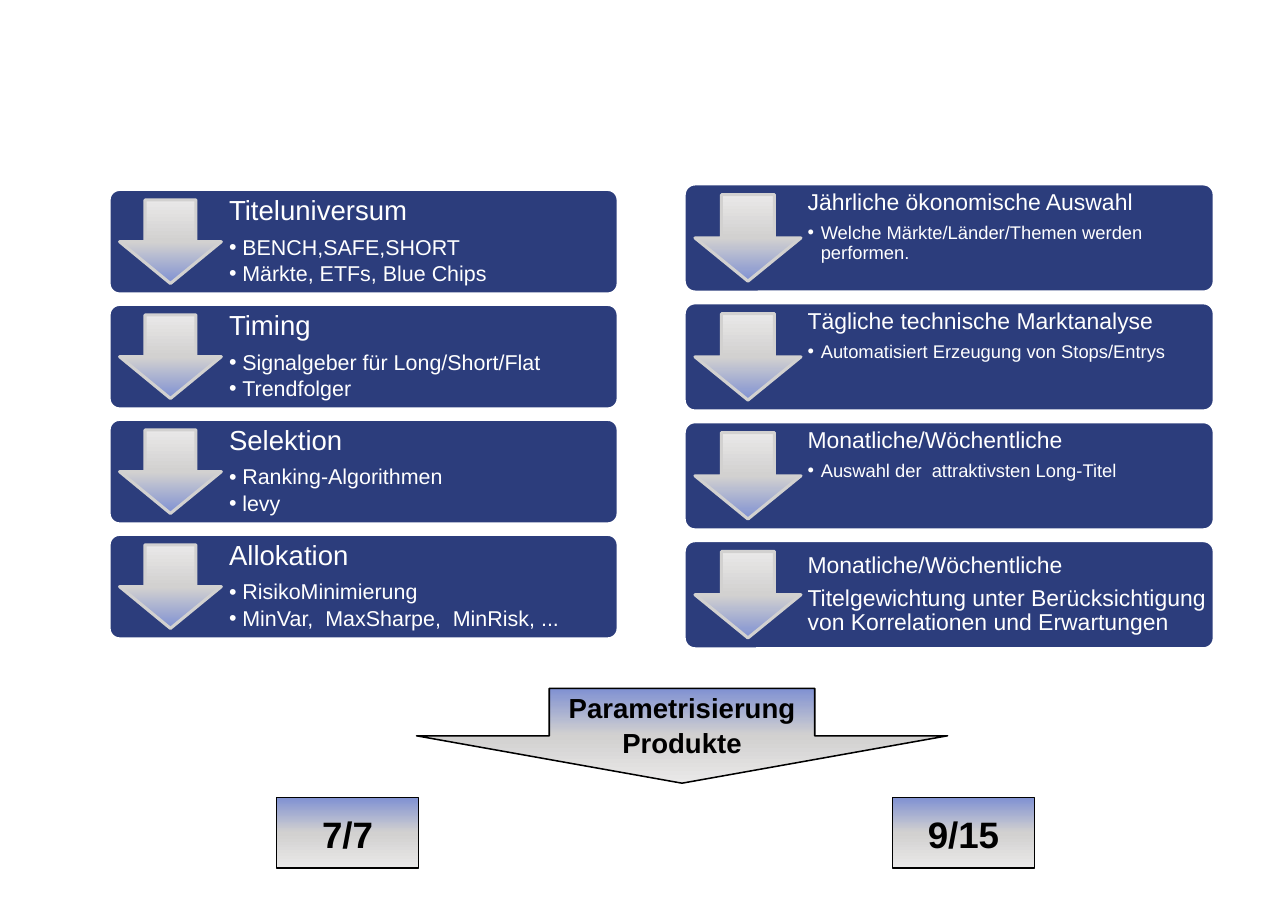
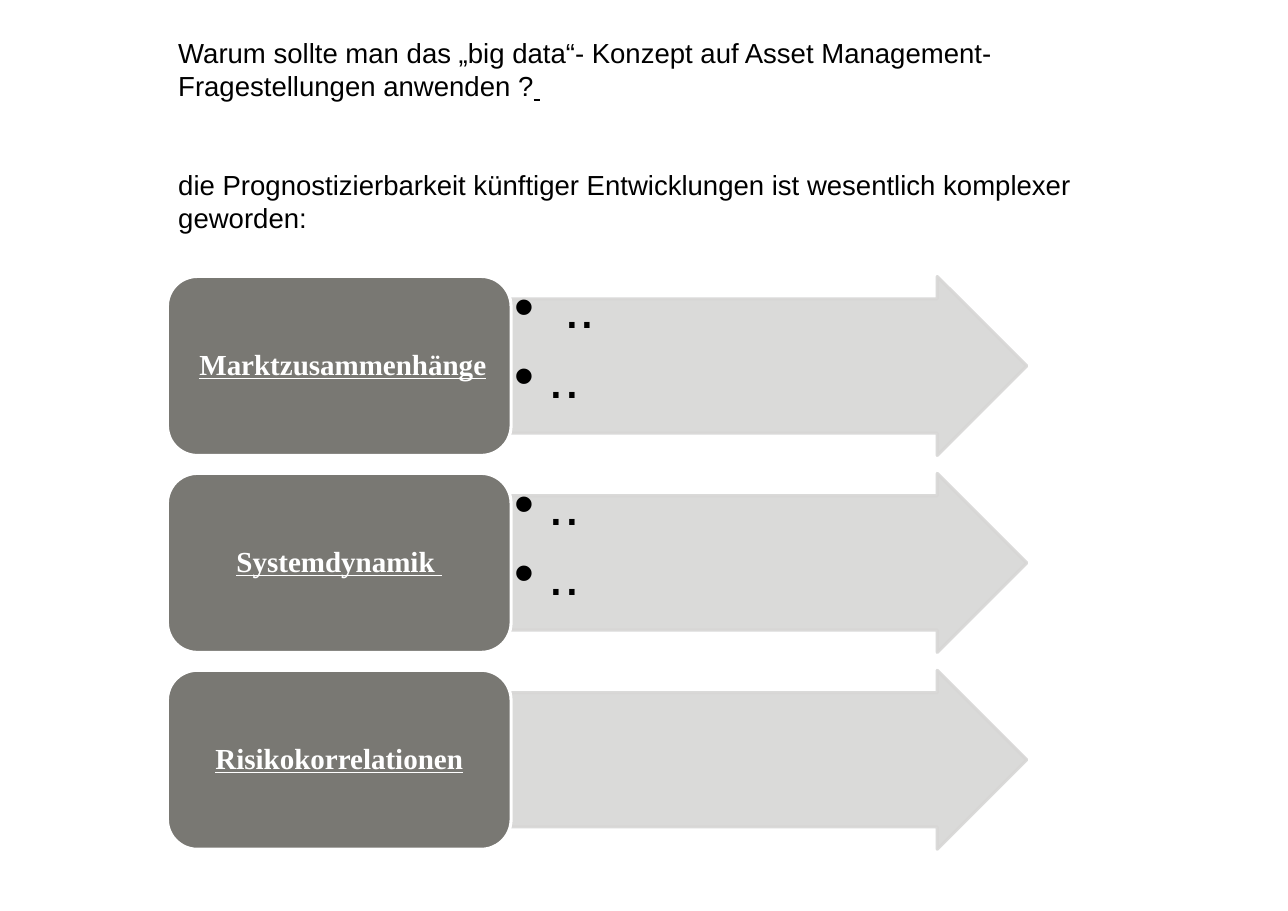
from copy import deepcopy

from lxml import etree
from pptx import Presentation
from pptx import util as u
from pptx.dml.color import RGBColor
from pptx.enum import shapes, text
from pptx.oxml.ns import qn

SLIDE_W, SLIDE_H = u.Inches(11.69), u.Inches(8.27)
COLORS = {
    "band": "2C3D7C", "white": "FFFFFF", "black": "000000",
    "blue": "8091D2", "silver": "D2D1D0", "pale": "E9E8E8",
    "label": "797873", "arrow": "D7D6D5",
}
GRADIENT = [(0, "blue"), (0.5, "silver"), (1, "pale")]
BLUE_ON_TOP, BLUE_AT_BOTTOM = 270, 90
ROW_GAP = 0.1        # gap between rows, as a share of the row height
KIND = shapes.MSO_SHAPE
CENTER = text.PP_ALIGN.CENTER
MIDDLE = text.MSO_ANCHOR.MIDDLE

# Text formats: fonts, then paragraph layouts ("after" is a share of the size)
BOLD_BLACK = {"name": "Arial", "bold": True, "color": "black"}
PLAIN_WHITE = {"name": "Arial", "color": "white"}
LABEL_FONT = {"name": "Times New Roman", "size": u.Pt(19), "color": "white"}
UNDERLINED = {"bold": True, "underline": True}
CALLOUT = {"spacing": 1.05, "after": 0.5, "align": CENTER}
HEADING = {"spacing": 0.9, "after": 0.35}
BULLET = {"spacing": 0.9, "after": 0.15}

LEFT_BANDS = [
    ("Titeluniversum", ["BENCH,SAFE,SHORT", "Märkte, ETFs, Blue Chips"]),
    ("Timing", ["Signalgeber für Long/Short/Flat", "Trendfolger"]),
    ("Selektion", ["Ranking-Algorithmen", "levy"]),
    ("Allokation", ["RisikoMinimierung", "MinVar,  MaxSharpe,  MinRisk, ..."]),
]
RIGHT_BANDS = [
    ("Jährliche ökonomische Auswahl",
     ["Welche Märkte/Länder/Themen werden performen."]),
    ("Tägliche technische Marktanalyse",
     ["Automatisiert Erzeugung von Stops/Entrys"]),
    ("Monatliche/Wöchentliche", ["Auswahl der  attraktivsten Long-Titel"]),
    ("Monatliche/Wöchentliche",
     "Titelgewichtung unter Berücksichtigung von Korrelationen "
     "und Erwartungen"),
]
TOPICS = [
    ([(" ", {}), ("Marktzusammenhänge", UNDERLINED)], [" ..", ".."]),
    ([("Systemdynamik ", UNDERLINED)], ["..", ".."]),
    ([("Risikokorrelationen", UNDERLINED)], []),
]


def area(left, top, width, height):
    """Turn percentages of the slide into a box."""
    return (int(SLIDE_W * left / 100), int(SLIDE_H * top / 100),
            int(SLIDE_W * width / 100), int(SLIDE_H * height / 100))


def rows(box, count):
    """Split a box into equal rows with a proportional gap."""
    left, top, width, height = box
    row = height / (count + (count - 1) * ROW_GAP)
    return [(left, int(top + i * row * (1 + ROW_GAP)), width, int(row))
            for i in range(count)]


def rgb(name):
    return RGBColor.from_string(COLORS[name])


def apply(target, formats):
    for key, value in formats.items():
        if key == "color":
            target.color.rgb = rgb(value)
        else:
            setattr(target, key, value)


def add_shape(slide, kind, box, fill, line, line_width, adjust=(), angle=None):
    """Add a preset shape; with an angle it is filled by the gradient."""
    shape = slide.shapes.add_shape(kind, *box)
    shape.shadow.inherit = False
    for i, value in enumerate(adjust):
        shape.adjustments[i] = value
    if angle is None:
        shape.fill.solid()
        shape.fill.fore_color.rgb = rgb(fill)
    else:
        shape.fill.gradient()
        stop_list = shape.element.spPr.find(qn("a:gradFill")).find(qn("a:gsLst"))
        stop_list.append(deepcopy(stop_list[0]))
        for stop, (position, color) in zip(shape.fill.gradient_stops, GRADIENT):
            stop.position = position
            stop.color.rgb = rgb(color)
        shape.fill.gradient_angle = angle
    shape.line.color.rgb = rgb(line)
    shape.line.width = u.Pt(line_width)
    return shape


def set_frame(shape, inset_x, inset_y, anchor=text.MSO_ANCHOR.TOP, wrap=True):
    frame = shape.text_frame
    apply(frame, {
        "margin_left": u.Inches(inset_x), "margin_right": u.Inches(inset_x),
        "margin_top": u.Inches(inset_y), "margin_bottom": u.Inches(inset_y),
        "vertical_anchor": anchor, "word_wrap": wrap,
    })
    return frame


def add_paragraph(frame, runs, font, layout, indent=None):
    """Fill the first free paragraph; an indent gives it a bullet."""
    first = frame.paragraphs[0]
    paragraph = frame.add_paragraph() if first.runs else first
    apply(paragraph, {
        "line_spacing": layout["spacing"],
        "space_after": u.Pt(font["size"].pt * layout["after"]),
        "alignment": layout.get("align", text.PP_ALIGN.LEFT),
    })
    if indent:
        props = paragraph._p.get_or_add_pPr()
        props.set("marL", str(u.Inches(indent)))
        props.set("indent", str(-u.Inches(indent)))
        etree.SubElement(props, qn("a:buFont")).set("typeface", font["name"])
        etree.SubElement(props, qn("a:buChar")).set("char", "•")
    for words, extra in runs:
        for i, line in enumerate(words.split("\n")):
            if i:
                paragraph.add_line_break()
            run = paragraph.add_run()
            run.text = line
            apply(run.font, {**font, **extra})
    return paragraph


def add_bands(slide, box, bands, heading_size, bullet_size, inset):
    """Stack of blue bands, each with an arrow, a heading and details."""
    heading_font = {**PLAIN_WHITE, "size": u.Pt(heading_size)}
    bullet_font = {**PLAIN_WHITE, "size": u.Pt(bullet_size)}
    for band, (heading, details) in zip(rows(box, len(bands)), bands):
        left, top, width, height = band
        pad, arrow_w = int(height * 0.1), int(width * 0.2)
        add_shape(slide, KIND.ROUNDED_RECTANGLE, band, "band", "white", 2, [0.1])
        text_left = left + pad + arrow_w
        words = slide.shapes.add_textbox(
            text_left, top, left + width - text_left, height)
        bulleted = isinstance(details, list)
        frame = set_frame(words, inset, inset,
                          text.MSO_ANCHOR.TOP if bulleted else MIDDLE)
        add_paragraph(frame, [(heading, {})], heading_font, HEADING)
        if bulleted:
            for detail in details:
                add_paragraph(frame, [(detail, {})], bullet_font, BULLET, 0.12)
        else:
            add_paragraph(frame, [(details, {})], heading_font, HEADING)
        add_shape(slide, KIND.DOWN_ARROW,
                  (left + pad, top + pad, arrow_w, height - 2 * pad),
                  None, "silver", 2, angle=BLUE_AT_BOTTOM)


def add_callout(slide, kind, box, words, size):
    """Gradient shape with bold centred text."""
    shape = add_shape(slide, kind, box, None, "black", 1, angle=BLUE_ON_TOP)
    frame = set_frame(shape, 0.1, 0.05, MIDDLE, wrap=False)
    add_paragraph(frame, [(words, {})], {**BOLD_BLACK, "size": u.Pt(size)},
                  CALLOUT)


def add_question(slide, box):
    """Opening question and the statement below it."""
    frame = set_frame(slide.shapes.add_textbox(*box), 0.1, 0.05)
    font = {"name": "Arial", "size": u.Pt(18), "color": "black"}
    layout = {"spacing": 1.0, "after": 0}
    add_paragraph(frame, [
        ("Warum sollte man das „big data“- Konzept auf Asset "
         "Management-Fragestellungen anwenden ?", {}),
        (" ", {**UNDERLINED, "name": "Times New Roman"}),
    ], font, layout)
    statement = add_paragraph(frame, [
        ("die Prognostizierbarkeit künftiger Entwicklungen ist wesentlich "
         "komplexer geworden:", {}),
    ], font, layout)
    statement.space_before = u.Pt(43)


def add_topics(slide, box):
    """Rows of a grey label and a translucent arrow with bullets."""
    for (left, top, width, height), (label, points) in zip(
            rows(box, len(TOPICS)), TOPICS):
        label_w = int(width * 0.4)
        arrow_box = (left + label_w, top, width - label_w, height)
        arrow = add_shape(slide, KIND.RIGHT_ARROW, arrow_box, "arrow", "arrow",
                          2, [0.75, 0.5])
        for color in arrow.element.spPr.iter(qn("a:srgbClr")):
            etree.SubElement(color, qn("a:alpha")).set("val", "90000")
        if points:
            frame = set_frame(slide.shapes.add_textbox(*arrow_box), 0.03, 0.03)
            for point in points:
                add_paragraph(frame, [(point, {})],
                              {"name": "Arial", "size": u.Pt(37),
                               "color": "black"}, BULLET, 0.31)
        tile = add_shape(slide, KIND.ROUNDED_RECTANGLE,
                         (left, top, label_w, height), "label", "white", 2)
        add_paragraph(set_frame(tile, 0.08, 0.04, MIDDLE), label, LABEL_FONT,
                      {**HEADING, "align": CENTER})


def build_process_slide(slide):
    add_bands(slide, area(8.47, 20.8, 39.52, 49.33), LEFT_BANDS, 18, 14, 0.07)
    add_callout(slide, KIND.DOWN_ARROW, area(32.34, 75.57, 41.23, 10.4),
                "Parametrisierung\nProdukte", 18)
    for left, count in ((21.47, "7/7"), (69.29, "9/15")):
        add_callout(slide, KIND.RECTANGLE, area(left, 87.55, 11.04, 7.74),
                    count, 24)
    add_bands(slide, area(53.12, 20.19, 41.15, 51.03), RIGHT_BANDS, 15, 12, 0.06)


def build_question_slide(slide):
    add_question(slide, area(13, 3.39, 73.4, 37))
    add_topics(slide, area(13, 30.35, 66.72, 62.88))


def main():
    deck = Presentation()
    deck.slide_width, deck.slide_height = SLIDE_W, SLIDE_H
    for build in (build_process_slide, build_question_slide):
        build(deck.slides.add_slide(deck.slide_layouts[6]))
    deck.save("out.pptx")


if __name__ == "__main__":
    main()
